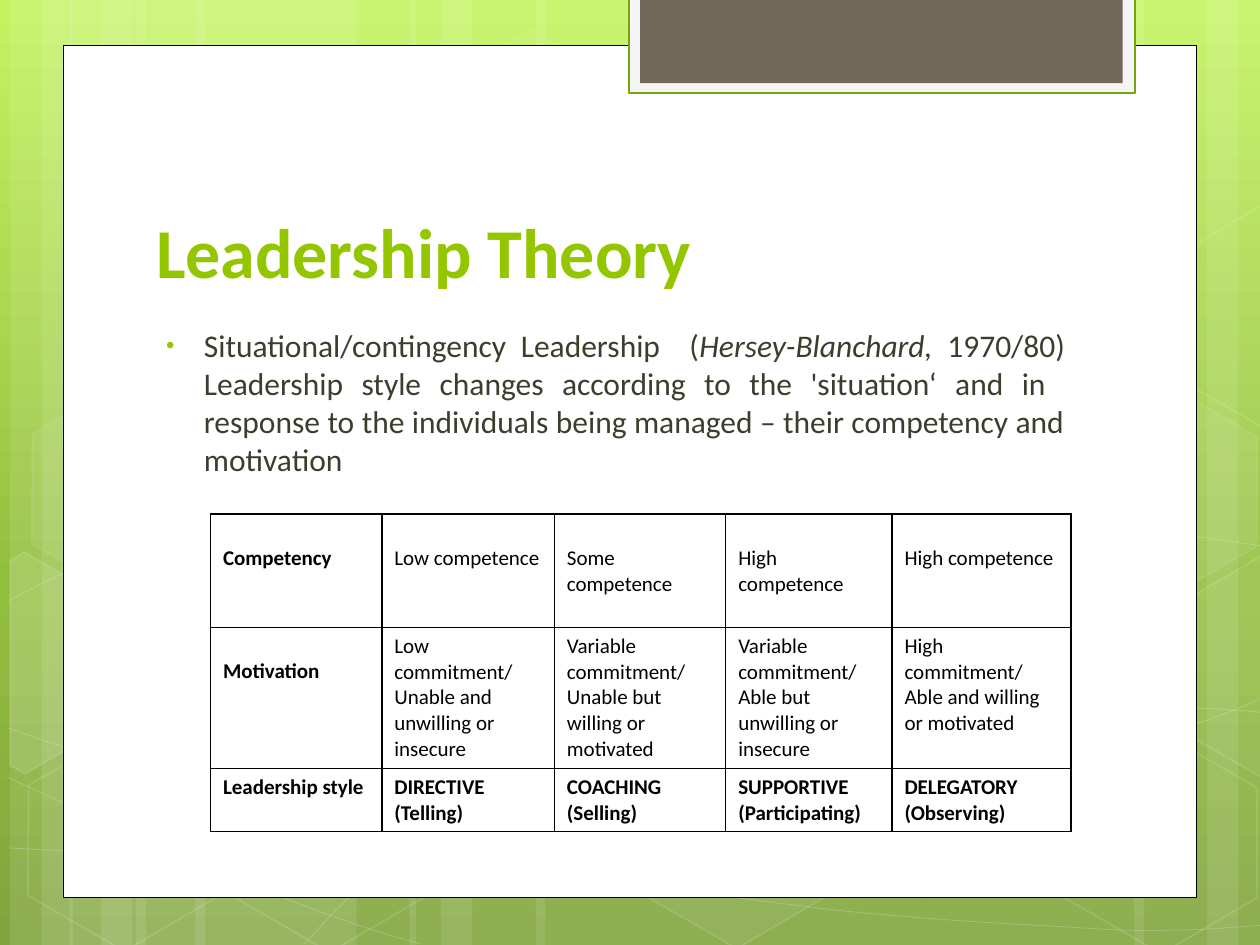
import math
from copy import deepcopy

from pptx import Presentation
from pptx.dml import color
from pptx.enum import shapes, text
from pptx.oxml import ns, xmlchemy
from pptx.util import Inches, Pt

COLOURS = {
    "sky": "C3F35F", "leaf": "93BF3F", "moss": "81A53E", "white": "FFFFFF",
    "black": "000000", "tab": "F5F5F5", "tab_edge": "74A510", "stone": "71685A",
    "lime": "94C600", "ink": "3E3D2D",
}
FONT = "Calibri"
RECT = shapes.MSO_SHAPE.RECTANGLE
HEXAGON = shapes.MSO_SHAPE.HEXAGON

STRIPES = [
    (1.08, 1.75), (0.08, 0.5), (0.33, 0.83), (1.55, 1.75), (0.55, 0.5), (0.8, 0.83),
    (7.33, 1.75), (9.58, 0.5), (9, 0.83), (4.25, 3.08), (3.25, 0.5), (3.5, 0.83),
]
CURVES = [
    [(0.07, 6.73), (0.61, 6.76), (1.15, 6.79), (1.9, 6.78), (2.65, 6.77), (3.58, 6.75),
     (4.58, 6.65), (5.58, 6.55), (7, 6.36), (7.92, 6.17), (8.83, 5.98), (9.77, 5.68),
     (10.07, 5.51)],
    [(0.07, 4.77), (0.36, 4.61), (0.65, 4.46), (1.21, 4.31), (1.78, 4.16), (2.59, 3.94),
     (3.47, 3.87), (4.36, 3.8), (5.44, 3.79), (6.54, 3.87), (7.64, 3.95), (9.47, 4.26),
     (10.07, 4.34)],
    [(0.06, 6.17), (1.27, 6.72), (2.47, 7.27), (3.34, 7.49)],
    [(0.07, 5.78), (0.38, 5.89), (0.7, 6), (1.28, 6.16), (1.86, 6.31), (2.73, 6.56),
     (3.57, 6.73), (4.4, 6.9), (5.45, 7.08), (6.28, 7.18), (7.11, 7.29), (8, 7.33),
     (8.53, 7.36), (9.05, 7.4), (9.19, 7.38), (9.45, 7.38), (9.71, 7.37), (9.89, 7.35),
     (10.07, 7.34)],
    [(2.42, 7.49), (2.6, 7.29), (2.78, 7.09), (3.02, 6.91), (3.26, 6.73), (3.6, 6.53),
     (3.88, 6.39), (4.16, 6.25), (4.33, 6.19), (4.7, 6.09), (5.06, 5.99), (5.73, 5.85),
     (6.08, 5.78), (6.44, 5.71), (6.49, 5.71), (6.8, 5.69), (7.11, 5.66), (7.6, 5.63),
     (7.94, 5.62), (8.29, 5.61), (8.86, 5.62), (8.86, 5.62), (9.08, 5.62), (9.31, 5.62),
     (9.53, 5.62), (9.71, 5.63), (9.88, 5.64), (9.97, 5.65), (10.06, 5.66), (10.03, 5.65),
     (10.06, 5.66)],
]
HEXAGONS = [
    (3.34, 0.36, 4, 8), (4.97, 5.89, 6, 12), (0.11, 5.91, 0, 12), (0.14, 3.12, 7, 8),
    (1.74, 5.92, 0, 12), (7.53, 4.53, 10, 12), (8.34, 5.93, 0, 12), (8.34, 3.14, 7, 8),
]
CUT_HEXAGONS = [
    ((0.36, 5.35), 10, [(0.08, 4.45), (0.19, 4.38), (0.96, 4.82), (0.95, 5.7), (0.2, 6.14),
                        (0.08, 6.07)]),
    ((9.85, 5.2), 4, [(9.26, 4.85), (10.01, 4.41), (10.09, 4.46), (10.09, 6.13), (10.02, 6.17),
                      (9.26, 5.73)]),
    ((9.85, 2.41), 0, [(9.26, 2.07), (10.01, 1.63), (10.1, 1.68), (10.09, 3.35), (10.02, 3.39),
                       (9.26, 2.95)]),
]
TILT = 30
STYLES = [
    ["Competency", "Low competence", "Some competence", "High competence", "High competence"],
    ["Motivation", "Low commitment/\nUnable and unwilling or insecure",
     "Variable commitment/\nUnable but willing or motivated",
     "Variable commitment/ Able but unwilling or insecure",
     "High commitment/\nAble and willing or motivated"],
    ["Leadership style", "DIRECTIVE\n(Telling)", "COACHING\n(Selling)",
     "SUPPORTIVE\n(Participating)", "DELEGATORY\n(Observing)"],
]
LEFT_CELLS = {(0, 4), (1, 3), (2, 0), (2, 1)}


def rgb(name):
    """Return the named colour."""
    return color.RGBColor.from_string(COLOURS[name])


def sub(parent, tag, **attributes):
    """Append a child element and return it."""
    child = xmlchemy.OxmlElement(tag)
    for key, value in attributes.items():
        child.set(key, str(value))
    parent.append(child)
    return child


def tint(fill, name, opacity=100):
    """Fill with a colour at an opacity in percent; zero means no fill."""
    if not opacity:
        fill.background()
        return
    fill.solid()
    fill.fore_color.rgb = rgb(name)
    if opacity < 100:
        srgb = fill._xPr.find(".//" + ns.qn("a:srgbClr"))
        sub(srgb, "a:alpha", val=opacity * 1000)


def paint(shape, fill, opacity=100, line=None, width=1, line_opacity=100):
    """Set the fill and outline of a shape and drop its shadow."""
    shape.shadow.inherit = False
    tint(shape.fill, fill, opacity)
    if line:
        shape.line.width = Pt(width)
    tint(shape.line.fill, line, line_opacity if line else 0)


def add_box(slide, kind, box):
    """Add a preset shape in a box given in inches."""
    return slide.shapes.add_shape(kind, *map(Inches, box))


def add_outline(slide, points, close):
    """Add a freeform through points given in inches."""
    corners = [(Inches(x), Inches(y)) for x, y in points]
    builder = slide.shapes.build_freeform(*corners[0], scale=1.0)
    builder.add_line_segments(corners[1:], close=close)
    return builder.convert_to_shape()


def add_curve(slide, knots):
    """Add a chain of cubic curves through its knots and handles."""
    curve = add_outline(slide, knots, False)
    lines = curve._element.findall(".//" + ns.qn("a:lnTo"))
    for start in range(0, len(lines), 3):
        bend = xmlchemy.OxmlElement("a:cubicBezTo")
        lines[start].addprevious(bend)
        for line in lines[start:start + 3]:
            bend.append(line[0])
            line.getparent().remove(line)
    return curve


def turn(points, centre, degrees):
    """Rotate points around a centre."""
    cos, sin = math.cos(math.radians(degrees)), math.sin(math.radians(degrees))
    cx, cy = centre
    return [(cx + (x - cx) * cos - (y - cy) * sin, cy + (x - cx) * sin + (y - cy) * cos)
            for x, y in points]


def draw_backdrop(slide, height):
    """Draw the green gradient with its stripes, curves and hexagons."""
    fill = slide.background.fill
    fill.gradient()
    fill.gradient_angle = 270
    stops = slide._element.find(".//" + ns.qn("a:gsLst"))
    stops.append(deepcopy(stops[-1]))
    for stop, name, position in zip(fill.gradient_stops, ("sky", "leaf", "moss"), (0, 0.62, 1)):
        stop.color.rgb = rgb(name)
        stop.position = position
    for left, width in STRIPES:
        paint(add_box(slide, RECT, (left, 0, width, height)), "white", 10)
    for knots in CURVES:
        paint(add_curve(slide, knots), "white", 0, "white", 0.5, 20)
    for left, top, opacity, edge in HEXAGONS:
        hexagon = add_box(slide, HEXAGON, (left, top, 1.75, 1.52))
        hexagon.adjustments[0] = 0.285
        hexagon.adjustments[1] = 1.155
        hexagon.rotation = TILT
        paint(hexagon, "white", opacity, "white", 1, edge)
    for centre, opacity, corners in CUT_HEXAGONS:
        cut = add_outline(slide, turn(corners, centre, -TILT), True)
        cut.rotation = TILT
        paint(cut, "white", opacity, "white", 1, 12)


def draw_page(slide, box):
    """Draw the white page and the tab hanging over its top edge."""
    left = box[0]
    paint(add_box(slide, RECT, box), "white", line="black", width=0.5)
    paint(add_box(slide, RECT, (left + 4.49, -0.02, 4.02, 0.76)), "tab",
          line="tab_edge", width=1.25)
    paint(add_box(slide, RECT, (left + 4.58, -0.02, 3.83, 0.68)), "stone")


def style_font(font, size, name, bold=False):
    """Set the typeface, size, colour and weight of a font."""
    font.name, font.size, font.bold = FONT, Pt(size), bold
    font.color.rgb = rgb(name)


def write_title(slide, box):
    """Write the title at the bottom of its box."""
    frame = slide.shapes.add_textbox(*map(Inches, box)).text_frame
    frame.word_wrap = True
    frame.vertical_anchor = text.MSO_ANCHOR.BOTTOM
    title = frame.paragraphs[0]
    title.text = "Leadership Theory"
    style_font(title.font, 40, "lime", True)


def write_theory(slide, box):
    """Write the justified bullet on situational leadership."""
    frame = slide.shapes.add_textbox(*map(Inches, box)).text_frame
    frame.word_wrap = True
    theory = frame.paragraphs[0]
    theory.alignment = text.PP_ALIGN.JUSTIFY
    theory.space_before = Pt(3.6)
    for words, italic in (
        ("Situational/contingency Leadership  (", False),
        ("Hersey-Blanchard, ", True),
        ("1970/80) Leadership style changes according to the 'situation‘ and in  response "
         "to the individuals being managed – their competency and motivation", False),
    ):
        run = theory.add_run()
        run.text = words
        run.font.italic = italic
        style_font(run.font, 18, "ink")
    layout = theory._p.get_or_add_pPr()
    layout.set("marL", str(Inches(0.38)))
    layout.set("indent", str(Inches(-0.3)))
    sub(sub(layout, "a:buClr"), "a:srgbClr", val=COLOURS["lime"])
    sub(layout, "a:buSzPct", val=76000)
    sub(layout, "a:buFont", typeface="Arial")
    sub(layout, "a:buChar", char="•")


def rule_cell(cell):
    """Draw the four borders of a cell and clear its fill."""
    properties = cell._tc.get_or_add_tcPr()
    for side in ("a:lnL", "a:lnR", "a:lnT", "a:lnB"):
        border = sub(properties, side, w=Pt(1))
        sub(sub(border, "a:solidFill"), "a:srgbClr", val=COLOURS["black"])
    cell.fill.background()


def draw_styles(slide, box, widths, heights):
    """Draw the table of leadership styles."""
    table = slide.shapes.add_table(len(heights), len(widths), *map(Inches, box)).table
    table.first_row = table.horz_banding = False
    for column, width in zip(table.columns, widths):
        column.width = Inches(width)
    for r, (row, height) in enumerate(zip(table.rows, heights)):
        row.height = Inches(height)
        for c, cell in enumerate(row.cells):
            cell.text = STYLES[r][c]
            cell.margin_top = Inches(0.25 if r == 0 or (r, c) == (1, 0) else 0.05)
            rule_cell(cell)
            for n, paragraph in enumerate(cell.text_frame.paragraphs):
                style_font(paragraph.font, 12, "black", c == 0 or r == 2)
                if (r, c) not in LEFT_CELLS and (r, n) != (1, 1):
                    paragraph.alignment = text.PP_ALIGN.JUSTIFY


def main():
    """Build and save the slide."""
    deck = Presentation()
    deck.slide_width, deck.slide_height = Inches(10), Inches(7.5)
    slide = deck.slides.add_slide(deck.slide_layouts[6])
    draw_backdrop(slide, 7.5)
    draw_page(slide, (0.5, 0.36, 9, 6.76))
    write_title(slide, (1.14, 1.12, 7.68, 1.25))
    write_theory(slide, (1.14, 2.54, 7.41, 3.84))
    draw_styles(slide, (1.67, 4.08, 6.83, 2.52), (1.36, 1.37, 1.36, 1.32, 1.42), (0.9, 1.12, 0.5))
    deck.save("out.pptx")


main()
